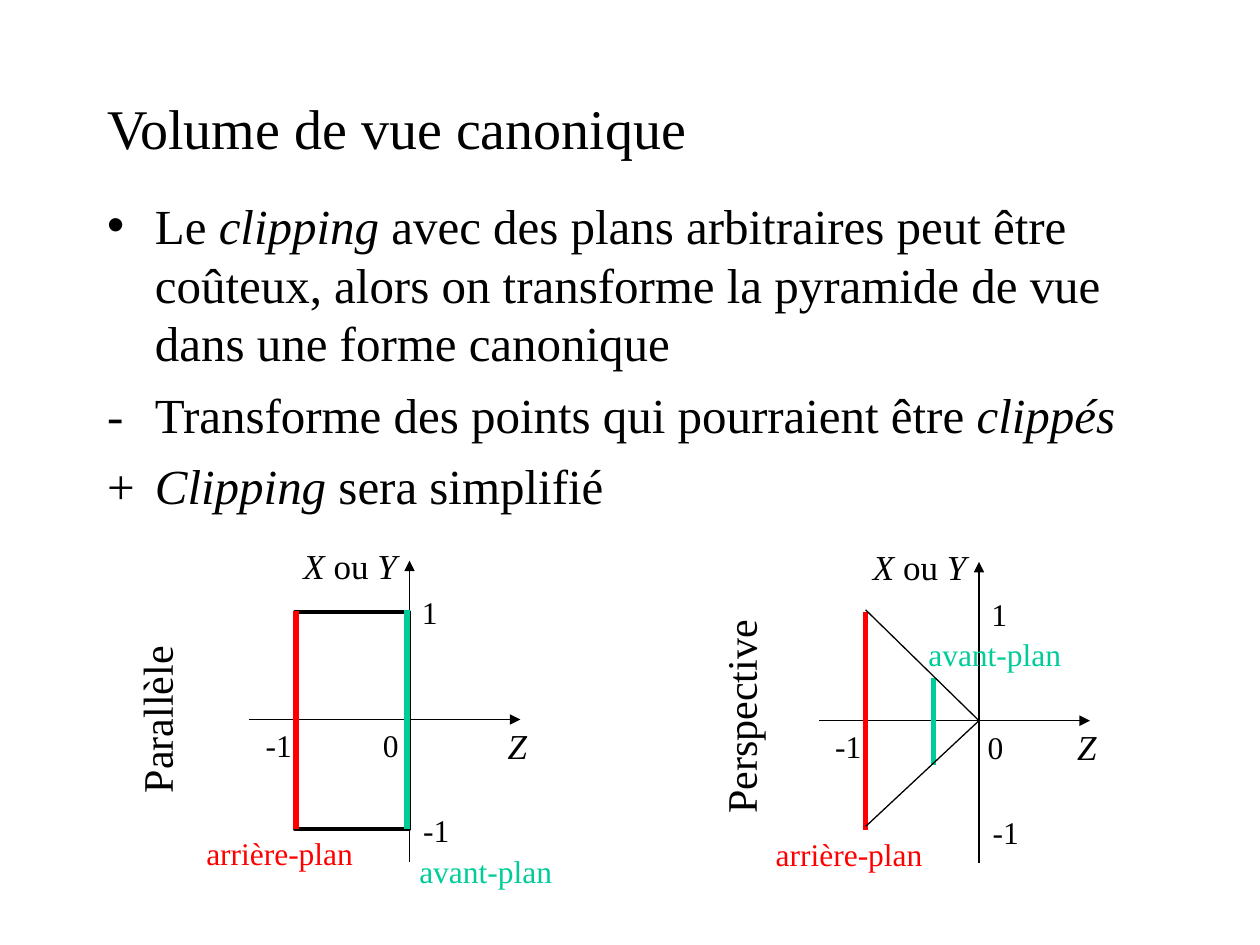
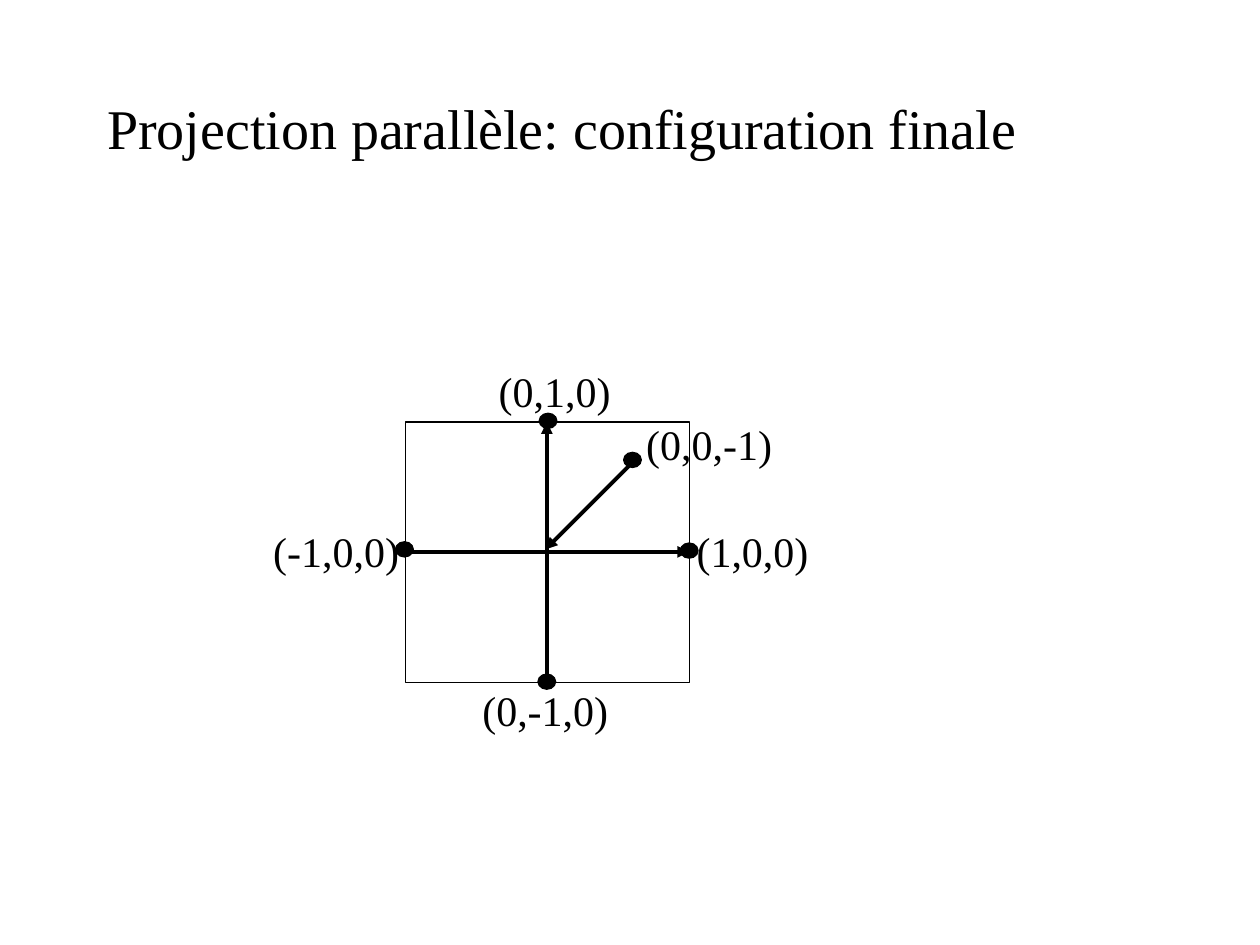
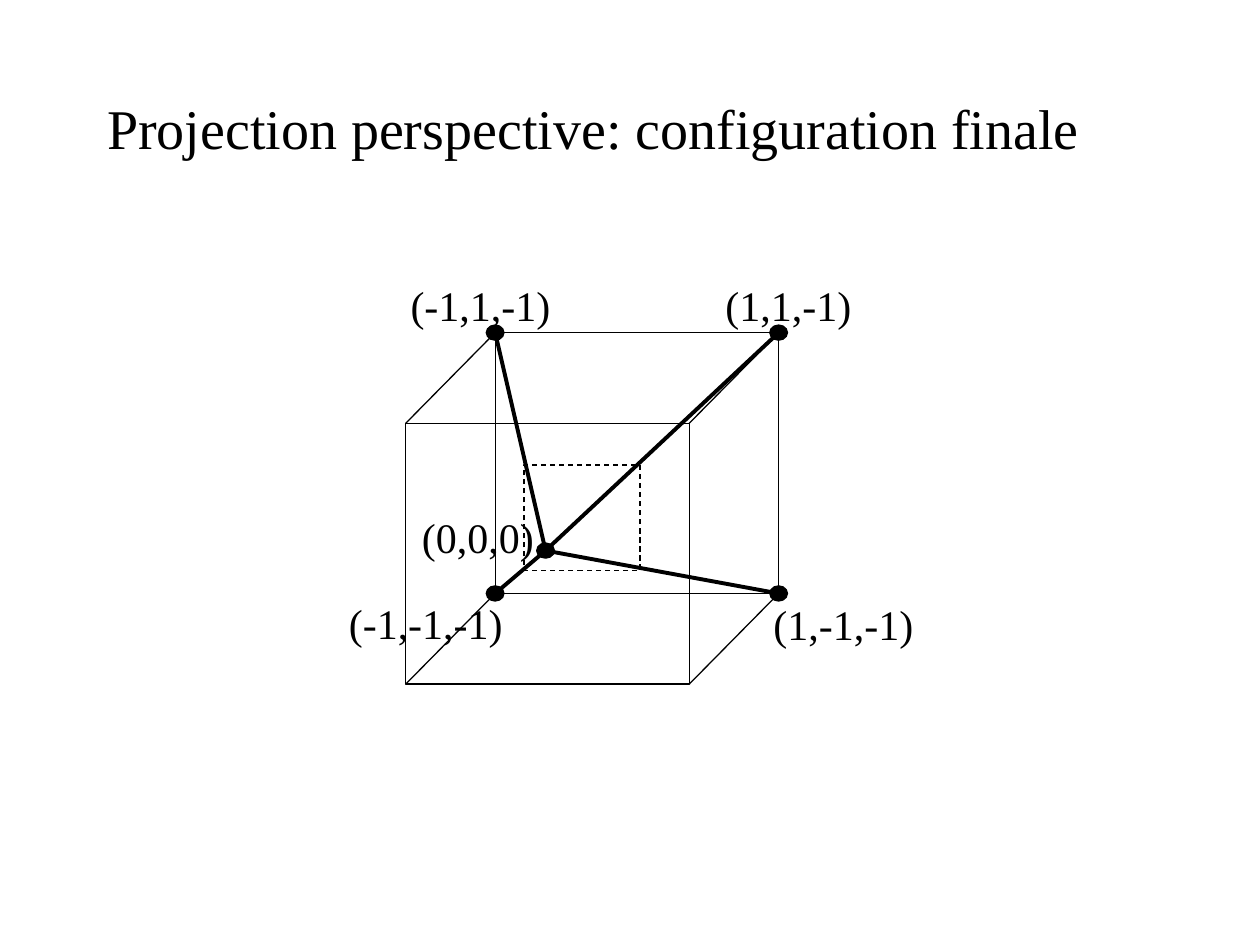
from dataclasses import dataclass
from itertools import product

from lxml.etree import SubElement
from pptx import Presentation
from pptx.dml.color import RGBColor
from pptx.enum.dml import MSO_LINE
from pptx.enum.shapes import MSO_CONNECTOR, MSO_SHAPE
from pptx.enum.text import MSO_ANCHOR, MSO_AUTO_SIZE, PP_ALIGN
from pptx.oxml.ns import qn
from pptx.util import Inches, Pt


@dataclass(frozen=True)
class Theme:
    font: str = "Times New Roman"
    ink: RGBColor = RGBColor(0x00, 0x00, 0x00)
    back: RGBColor = RGBColor(0xFF, 0x00, 0x00)
    front: RGBColor = RGBColor(0x00, 0xCC, 0x99)
    title: int = 32
    body: int = 28
    label: int = 24
    axis: int = 20
    tick: int = 18
    thin: float = 0.75
    thick: float = 2.25
    plane: float = 3


T = Theme()
TITLE_ONLY, TITLE_AND_BODY = 5, 1
SQUARE = 2.25, 2.07


def place(shape, x, y, w, h):
    shape.left, shape.top, shape.width, shape.height = map(Inches, (x, y, w, h))


def write(p, text, size, color=T.ink, align=PP_ALIGN.LEFT):
    p.alignment = align
    p.font.name, p.font.size = T.font, Pt(size)
    p.font.color.rgb = color
    for i, part in enumerate(text.split("*")):
        if part:
            r = p.add_run()
            r.text = part
            if i % 2:
                r.font.italic = True


def new_slide(prs, title, layout=TITLE_ONLY):
    s = prs.slides.add_slide(prs.slide_layouts[layout])
    place(s.shapes.title, 0.75, 0.67, 8.5, 0.67)
    tf = s.shapes.title.text_frame
    tf.auto_size = MSO_AUTO_SIZE.NONE
    tf.vertical_anchor = MSO_ANCHOR.MIDDLE
    write(tf.paragraphs[0], title, T.title)
    return s


def add_body(s, items):
    body = s.placeholders[1]
    place(body, 0.75, 1.5, 8.5, 5.17)
    tf = body.text_frame
    tf.auto_size = MSO_AUTO_SIZE.NONE
    for i, (text, bullet) in enumerate(items):
        p = tf.add_paragraph() if i else tf.paragraphs[0]
        p.space_before = Pt(7)
        write(p, text, T.body)
        pPr = p._p.get_or_add_pPr()
        pPr.set("marL", str(Inches(0.38)))
        pPr.set("indent", str(Inches(-0.38)))
        mark = "a:buChar" if bullet else "a:buNone"
        bu = pPr.makeelement(qn(mark), {"char": bullet} if bullet else {})
        pPr.insert_element_before(bu, "a:tabLst", "a:defRPr", "a:extLst")


def add_label(s, text, x, y, w, h=0.5, size=T.label, color=T.ink,
              align=PP_ALIGN.LEFT, rotation=0):
    tb = s.shapes.add_textbox(*map(Inches, (x, y, w, h)))
    tb.rotation = rotation
    tf = tb.text_frame
    tf.word_wrap = False
    tf.auto_size = MSO_AUTO_SIZE.SHAPE_TO_FIT_TEXT
    write(tf.paragraphs[0], text, size, color, align)


def add_side_label(s, text, x, y, w):
    add_label(s, text, x, y, w, align=PP_ALIGN.CENTER, rotation=270)


def add_line(s, start, end, width=T.thin, color=T.ink, arrow=False):
    c = s.shapes.add_connector(MSO_CONNECTOR.STRAIGHT, *map(Inches, (*start, *end)))
    c.line.color.rgb = color
    c.line.width = Pt(width)
    if arrow:
        SubElement(c.line._get_or_add_ln(), qn("a:tailEnd"), type="triangle")
    SubElement(c._element.spPr, qn("a:effectLst"))


def add_outline(s, x, y, w, h, width=T.thin, dash=None):
    rect = s.shapes.add_shape(MSO_SHAPE.RECTANGLE, *map(Inches, (x, y, w, h)))
    rect.shadow.inherit = False
    rect.fill.background()
    rect.line.color.rgb = T.ink
    rect.line.width = Pt(width)
    if dash:
        rect.line.dash_style = dash


def add_dot(s, x, y, w=0.14, h=0.12):
    dot = s.shapes.add_shape(MSO_SHAPE.OVAL, *map(Inches, (x - w / 2, y - h / 2, w, h)))
    dot.shadow.inherit = False
    dot.fill.solid()
    dot.fill.fore_color.rgb = T.ink
    dot.line.color.rgb = T.ink
    dot.line.width = Pt(T.thin)


def add_axes(s, x, y):
    add_line(s, (x - 1.27, y), (x + 0.88, y), arrow=True)
    add_line(s, (x, y + 1.13), (x, y - 1.26), arrow=True)
    add_label(s, "*Z*", x + 0.68, y - 0.01, 0.35, 0.44, T.axis)
    add_label(s, "*X *ou* Y*", x - 0.94, y - 1.44, 0.94, 0.44, T.axis)
    for text, dx, dy, w in (("-1", 0.01, 0.68, 0.41), ("1", 0, -1.05, 0.32),
                            ("-1", -1.24, 0, 0.41)):
        add_label(s, text, x + dx, y + dy, w, 0.4, T.tick)


def add_planes(s, x, y, front_x, front_top, front_bottom, front_label):
    add_line(s, (x + front_x, y + front_top), (x + front_x, y + front_bottom), T.plane, T.front)
    add_line(s, (x - 0.9, y - 0.86), (x - 0.9, y + 0.87), T.plane, T.back)
    dx, dy = front_label
    add_label(s, "avant-plan", x + dx, y + dy, 1.35, 0.4, T.tick, T.front, PP_ALIGN.CENTER)
    add_label(s, "arrière-plan", x - 1.76, y + 0.86, 1.46, 0.4, T.tick, T.back, PP_ALIGN.CENTER)


def add_parallel_volume(s, x, y):
    add_axes(s, x, y)
    add_outline(s, x - 0.91, y - 0.85, 0.91, 1.72, T.thick)
    add_label(s, "0", x - 0.31, y, 0.32, 0.4, T.tick)
    add_planes(s, x, y, -0.02, -0.87, 0.87, (-0.07, 1))
    add_side_label(s, "Parallèle", x - 2.74, y - 0.25, 1.46)


def add_perspective_volume(s, x, y):
    add_axes(s, x, y)
    add_label(s, "0", x - 0.03, y + 0.01, 0.32, 0.4, T.tick)
    add_planes(s, x, y, -0.36, -0.34, 0.35, (-0.55, -0.73))
    for dy in (-0.88, 0.84):
        add_line(s, (x, y), (x - 0.9, y + dy))
    add_side_label(s, "Perspective", x - 2.81, y - 0.28, 1.83)


def canonical_volume(prs):
    s = new_slide(prs, "Volume de vue canonique", TITLE_AND_BODY)
    add_body(s, [
        ("Le *clipping* avec des plans arbitraires peut être coûteux, alors on "
         "transforme la pyramide de vue dans une forme canonique", "•"),
        ("-\tTransforme des points qui pourraient être *clippés*", None),
        ("+\t*Clipping* sera simplifié", None),
    ])
    add_parallel_volume(s, 3.25, 5.71)
    add_perspective_volume(s, 7.77, 5.72)


def parallel_projection(prs):
    s = new_slide(prs, "Projection parallèle: configuration finale")
    add_outline(s, 3.22, 3.35, *SQUARE)
    for start, end in (((4.34, 5.42), (4.34, 3.35)), ((3.22, 4.38), (5.47, 4.38)),
                       ((5.04, 3.65), (4.33, 4.36))):
        add_line(s, start, end, T.thick, arrow=True)
    for text, x, y, w in (("(1,0,0)", 5.43, 4.12, 1.09), ("(0,1,0)", 3.86, 2.85, 1.09),
                          ("(-1,0,0)", 2.07, 4.12, 1.2), ("(0,-1,0)", 3.73, 5.38, 1.2),
                          ("(0,0,-1)", 5.03, 3.27, 1.2)):
        add_label(s, text, x, y, w)
    for x, y in ((4.34, 5.41), (4.35, 3.34), (5.47, 4.37), (3.21, 4.36), (5.02, 3.65)):
        add_dot(s, x, y)


def perspective_projection(prs):
    s = new_slide(prs, "Projection perspective: configuration finale")
    x, y = 3.22, 3.36
    w, h = SQUARE
    dx, dy = 0.71, -0.72
    eye = 4.33, 4.37
    add_outline(s, x + dx, y + dy, w, h)
    add_outline(s, x, y, w, h)
    add_outline(s, 4.16, 3.69, 0.92, 0.84, dash=MSO_LINE.DASH)
    for cx, cy in product((x, x + w), (y, y + h)):
        far = cx + dx, cy + dy
        add_line(s, (cx, cy), far)
        add_line(s, eye, far, T.thick)
        add_dot(s, *far)
    add_dot(s, *eye)
    for text, left, top, width in (("(-1,1,-1)", 3.16, 2.17, 1.31),
                                   ("(-1,-1,-1)", 2.67, 4.69, 1.42),
                                   ("(1,-1,-1)", 6.04, 4.7, 1.31),
                                   ("(1,1,-1)", 5.66, 2.17, 1.2),
                                   ("(0,0,0)", 3.25, 4.01, 1.09)):
        add_label(s, text, left, top, width)


def main():
    prs = Presentation()
    prs.slide_width, prs.slide_height = Inches(10), Inches(7.5)
    canonical_volume(prs)
    parallel_projection(prs)
    perspective_projection(prs)
    prs.save("out.pptx")


if __name__ == "__main__":
    main()
